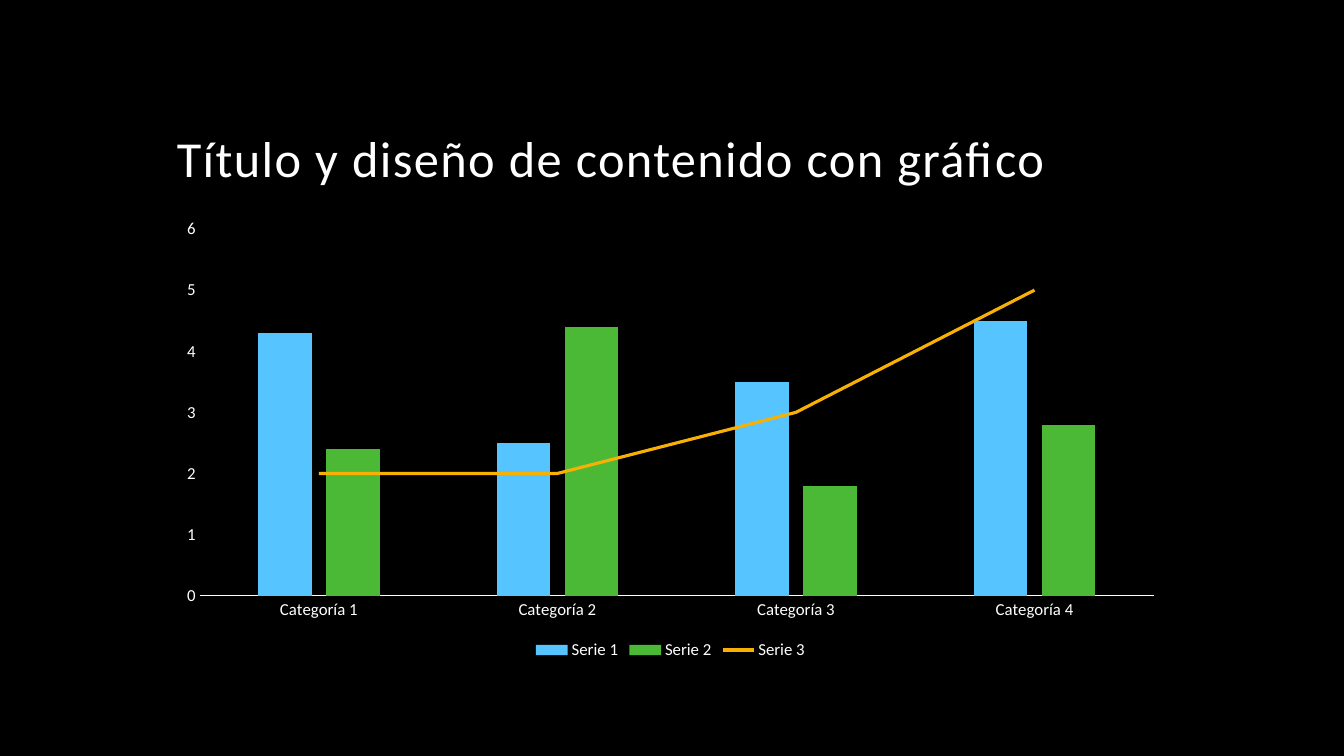
from copy import deepcopy

from pptx import Presentation
from pptx.chart.data import CategoryChartData
from pptx.dml.color import RGBColor
from pptx.enum.chart import XL_CHART_TYPE as CT, XL_LEGEND_POSITION as LP
from pptx.enum.chart import XL_MARKER_STYLE as MS, XL_TICK_MARK as TM
from pptx.enum.text import MSO_ANCHOR
from pptx.oxml import parse_xml
from pptx.oxml.ns import nsdecls, qn
from pptx.util import Emu, Pt

SCALE = 914400 / 100.8  # EMU per pixel
FONT = "Calibri"
COLORS = {
    "back": "000000",
    "text": "FFFFFF",
    "Serie 1": "56C5FF",
    "Serie 2": "4BB836",
    "Serie 3": "F8B004",
}
CATEGORIES = [f"Categoría {n}" for n in range(1, 5)]
VALUES = {
    "Serie 1": (4.3, 2.5, 3.5, 4.5),
    "Serie 2": (2.4, 4.4, 1.8, 2.8),
    "Serie 3": (2, 2, 3, 5),
}


def px(n):
    return Emu(round(n * SCALE))


def rgb(name):
    return RGBColor.from_string(COLORS[name])


def set_font(font, size):
    font.name = FONT
    font.size = Pt(size)
    font.color.rgb = rgb("text")


def add_title(s, text, *box):
    tf = s.shapes.add_textbox(*map(px, box)).text_frame
    tf.word_wrap = True
    tf.vertical_anchor = MSO_ANCHOR.BOTTOM
    p = tf.paragraphs[0]
    p.text = text
    p.line_spacing = 0.9
    r = p.runs[0]
    set_font(r.font, 36)
    r.font._element.set("spc", "100")


def move_last_series_to_line(chart):
    """Turn the last column series into a line on the same axes."""
    bars = chart.plots[0]._element
    ser = bars.findall(qn("c:ser"))[-1]
    for flag in ser.findall(qn("c:invertIfNegative")):
        ser.remove(flag)
    line_chart = parse_xml(
        f'<c:lineChart {nsdecls("c")}><c:grouping val="standard"/>'
        '<c:varyColors val="0"/><c:marker val="1"/></c:lineChart>'
    )
    line_chart.insert(2, ser)
    for ax_id in bars.findall(qn("c:axId")):
        line_chart.append(deepcopy(ax_id))
    bars.addnext(line_chart)
    line = chart.plots[1].series[0]
    line.smooth = False
    line.marker.style = MS.NONE


def style_axis(axis):
    axis.has_major_gridlines = False
    axis.major_tick_mark = axis.minor_tick_mark = TM.NONE
    set_font(axis.tick_labels.font, 12)


def add_combo_chart(s, *box):
    data = CategoryChartData()
    data.categories = CATEGORIES
    for name, values in VALUES.items():
        data.add_series(name, values)
    chart = s.shapes.add_chart(CT.COLUMN_CLUSTERED, *map(px, box), data).chart
    chart.has_title = False
    set_font(chart.font, 10)

    # Columns and line
    plot = chart.plots[0]
    plot.vary_by_categories = False
    plot.gap_width, plot.overlap = 219, -27
    *columns, trend = plot.series
    for ser in columns:
        ser.format.fill.solid()
        ser.format.fill.fore_color.rgb = rgb(ser.name)
    trend.format.line.color.rgb = rgb(trend.name)
    trend.format.line.width = Pt(2.25)
    move_last_series_to_line(chart)

    # Axes
    style_axis(chart.category_axis)
    style_axis(chart.value_axis)
    base = chart.category_axis.format.line
    base.color.rgb = rgb("text")
    base.width = Pt(0.75)
    chart.value_axis.format.line.fill.background()

    # Legend
    chart.has_legend = True
    chart.legend.position = LP.BOTTOM
    chart.legend.include_in_layout = False
    set_font(chart.legend.font, 12)


def main():
    prs = Presentation()
    prs.slide_width, prs.slide_height = px(1344), px(756)
    s = prs.slides.add_slide(prs.slide_layouts[6])
    s.background.fill.solid()
    s.background.fill.fore_color.rgb = rgb("back")
    add_title(s, "Título y diseño de contenido con gráfico", 167, 42, 1008, 151)
    add_combo_chart(s, 167, 210, 1007, 454)
    prs.save("out.pptx")


main()
